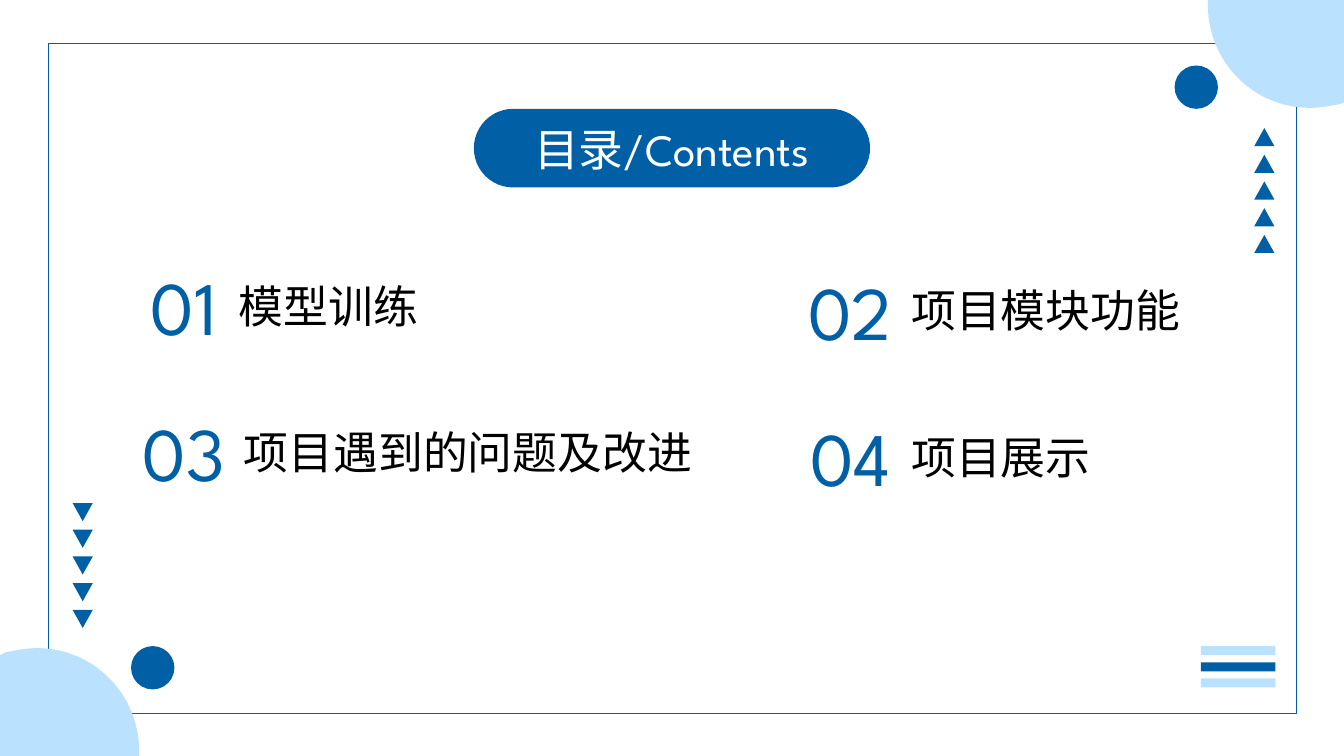
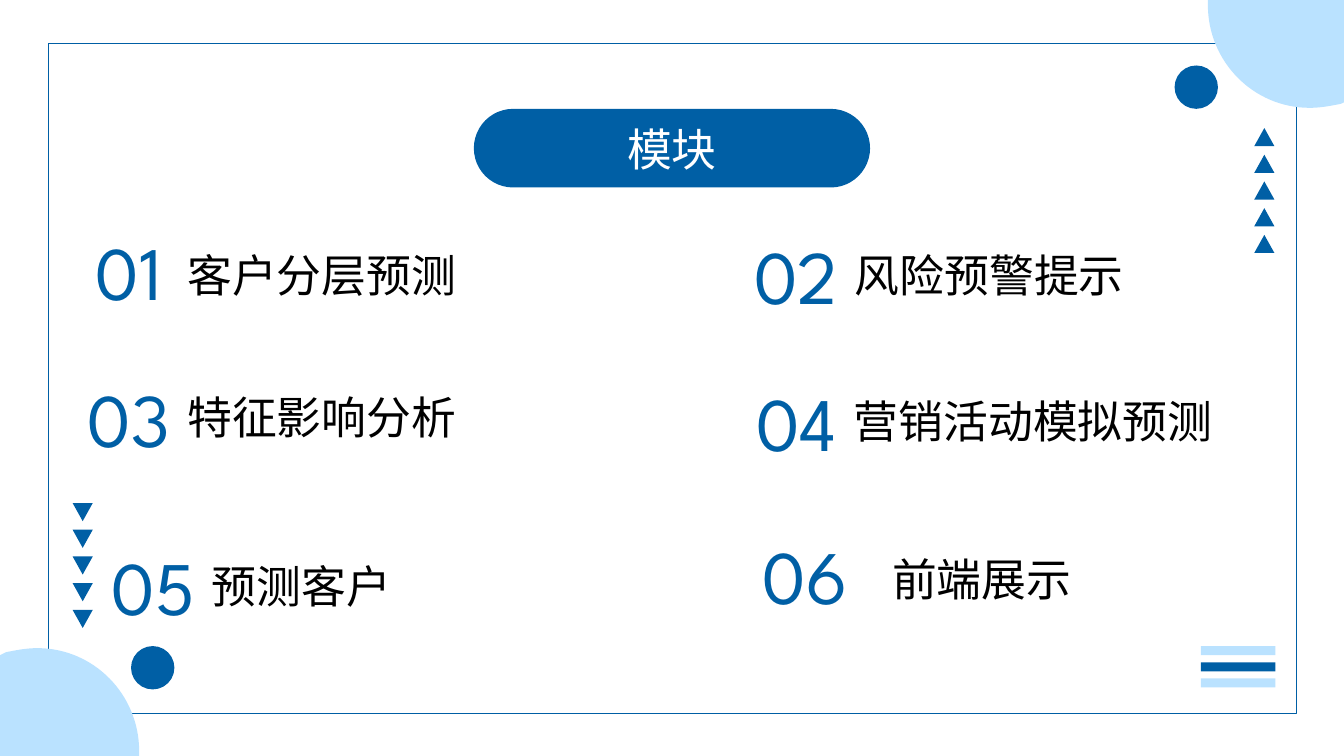
from dataclasses import dataclass

from lxml import etree
from pptx import Presentation
from pptx import util as u
from pptx.dml.color import RGBColor
from pptx.enum import shapes, text
from pptx.oxml.ns import qn

# Shared look
WIDTH, HEIGHT = 13.33, 7.5
BLUE, PALE, WHITE, BLACK = "005FA5", "BAE2FF", "FFFFFF", "000000"
FONT = "League Spartan"
KIND = shapes.MSO_SHAPE

# Cut disc: three straight corners, then two curves of three points each
EDGE = [(0, 0), (1.38, 0), (1.38, 1), (1.32, 1.03)]
CURVE = [(1.22, 1.05), (1.12, 1.07), (1.01, 1.07),
         (0.45, 1.07), (0, 0.61), (0, 0.05)]


@dataclass
class Box:
    left: float
    top: float
    width: float
    height: float


@dataclass
class Item:
    num: str
    label: str
    num_x: float
    num_y: float
    area: Box


@dataclass
class Page:
    title: str
    num_w: float
    items: list[Item]


def color(code: str) -> RGBColor:
    return RGBColor.from_string(code)


def paint(shape, fill: str | None, line: str | None = None) -> None:
    shape.shadow.inherit = False
    if fill:
        shape.fill.solid()
        shape.fill.fore_color.rgb = color(fill)
    else:
        shape.fill.background()
    if line:
        shape.line.color.rgb = color(line)
        shape.line.width = u.Pt(1)
    else:
        shape.line.fill.background()


def place(box: Box) -> list[int]:
    return [u.Inches(n) for n in (box.left, box.top, box.width, box.height)]


def draw(host, kind, box: Box, fill: str | None, line: str | None = None):
    """Draw a preset shape on a slide or in a group."""
    shape = host.shapes.add_shape(kind, *place(box))
    paint(shape, fill, line)
    return shape


def write(shape, words: str, size: int, ink: str, align) -> None:
    frame = shape.text_frame
    frame.text = words
    frame.word_wrap = True
    frame.vertical_anchor = text.MSO_ANCHOR.MIDDLE
    line = frame.paragraphs[0]
    line.alignment = align
    for run in line.runs:
        run.font.size = u.Pt(size)
        run.font.color.rgb = color(ink)
        run.font.name = FONT
        # Chinese letters take the same font setting
        etree.SubElement(run.font._element, qn("a:ea"), typeface=FONT)


def disc(host, left: float, top: float, turn: int) -> None:
    """Draw a disc that is cut off at the slide edges."""
    points = [(u.Inches(x), u.Inches(y)) for x, y in EDGE + CURVE]
    pen = host.shapes.build_freeform(*points[0])
    pen.add_line_segments(points[1:], close=True)
    shape = pen.convert_to_shape(u.Inches(left), u.Inches(top))
    # Join the last six points into two curves
    lines = list(shape.element.iter(qn("a:lnTo")))[len(EDGE) - 1:][:len(CURVE)]
    for first in range(0, len(CURVE), 3):
        bend = etree.Element(qn("a:cubicBezTo"))
        lines[first].addprevious(bend)
        for line in lines[first:first + 3]:
            bend.append(line[0])
            line.getparent().remove(line)
    paint(shape, PALE)
    shape.rotation = turn


def corner(slide, spot: tuple, first: tuple, turn: int) -> None:
    """Draw a cut disc with five evenly spaced triangles."""
    group = slide.shapes.add_group_shape()
    disc(group, *spot, turn)
    left, top = first
    for row in range(5):
        box = Box(left, top + row * 1.06 / 4, 0.2, 0.18)
        draw(group, KIND.ISOSCELES_TRIANGLE, box, BLUE).rotation = turn


def adorn(slide) -> None:
    # Frame and corners
    draw(slide, KIND.RECTANGLE, Box(0.48, 0.43, 12.38, 6.65), None, BLUE)
    corner(slide, (11.98, 0), (12.44, 1.27), 0)
    corner(slide, (0, 6.43), (0.72, 4.99), 180)
    # Dots
    for left, top in ((11.65, 0.65), (1.3, 6.41)):
        draw(slide, KIND.OVAL, Box(left, top, 0.43, 0.43), BLUE)
    # Stripes
    group = slide.shapes.add_group_shape()
    for row, fill in enumerate((PALE, BLUE, PALE)):
        box = Box(11.91, 6.41 + row * 0.16, 0.74, 0.09)
        draw(group, KIND.RECTANGLE, box, fill)


def share(slide) -> None:
    """Move the drawn parts to the layout, so that every slide shows them."""
    layout = slide.slide_layout
    tree = layout.shapes.element
    for holder in list(layout.placeholders):
        tree.remove(holder.element)
    for shape in list(slide.shapes):
        tree.append(shape.element)


def fill_page(slide, page: Page) -> None:
    # Title pill
    pill = draw(slide, KIND.ROUNDED_RECTANGLE, Box(4.7, 1.08, 3.93, 0.78), BLUE)
    pill.adjustments[0] = 0.5
    write(pill, page.title, 32, WHITE, text.PP_ALIGN.CENTER)
    # Numbers and labels
    for item in page.items:
        num = draw(slide, KIND.ROUNDED_RECTANGLE,
                   Box(item.num_x, item.num_y, page.num_w, 0.73), None)
        write(num, item.num, 54, BLUE, text.PP_ALIGN.CENTER)
        label = slide.shapes.add_textbox(*place(item.area))
        write(label, item.label, 32, BLACK, text.PP_ALIGN.LEFT)


PAGES = [
    Page("目录/Contents", 1.19, [
        Item("01", "模型训练", 1.23, 2.66, Box(2.27, 2.71, 3.6, 0.64)),
        Item("02", "项目模块功能", 7.84, 2.71, Box(8.94, 2.75, 3.6, 0.64)),
        Item("03", "项目遇到的问题及改进", 1.23, 4.11, Box(2.32, 3.89, 4.86, 1.18)),
        Item("04", "项目展示", 7.84, 4.16, Box(8.94, 4.21, 4.96, 0.64)),
    ]),
    Page("模块", 1.2, [
        Item("01", "客户分层预测", 0.68, 2.32, Box(1.76, 2.4, 3.62, 0.64)),
        Item("02", "风险预警提示", 7.3, 2.36, Box(8.38, 2.4, 3.62, 0.64)),
        Item("03", "特征影响分析", 0.68, 3.77, Box(1.76, 3.54, 4.89, 1.18)),
        Item("04", "营销活动模拟预测", 7.3, 3.81, Box(8.37, 3.85, 4.99, 0.64)),
        Item("05", "预测客户", 0.92, 5.44, Box(2, 5.22, 4.89, 1.18)),
        Item("06", "前端展示", 7.39, 5.33, Box(8.75, 5.42, 3.62, 0.64)),
    ]),
]


def main() -> None:
    deck = Presentation()
    deck.slide_width = u.Inches(WIDTH)
    deck.slide_height = u.Inches(HEIGHT)
    blank = deck.slide_layouts[6]
    slides = [deck.slides.add_slide(blank) for _ in PAGES]
    adorn(slides[0])
    share(slides[0])
    for slide, page in zip(slides, PAGES):
        fill_page(slide, page)
    deck.save("out.pptx")


if __name__ == "__main__":
    main()
